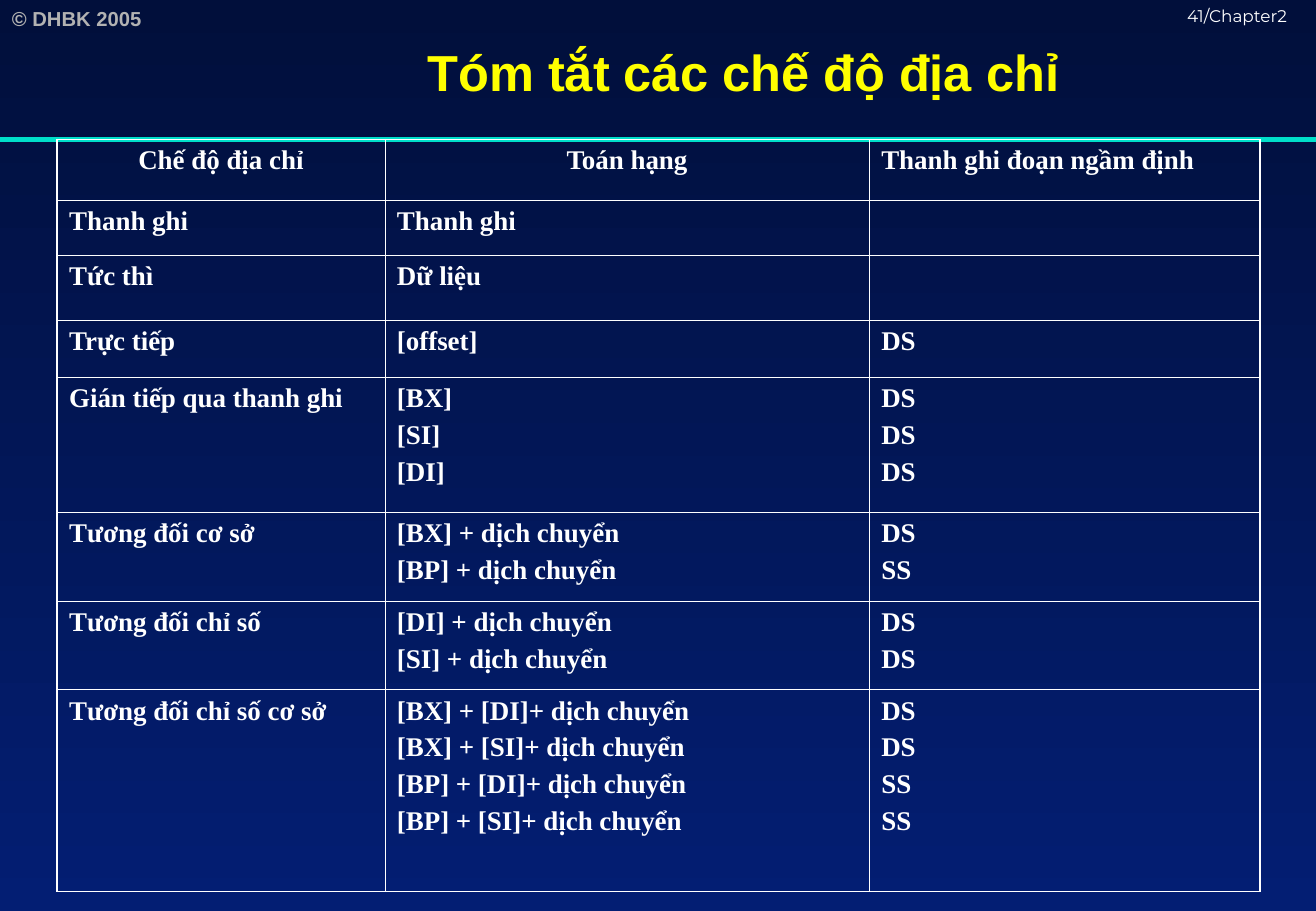
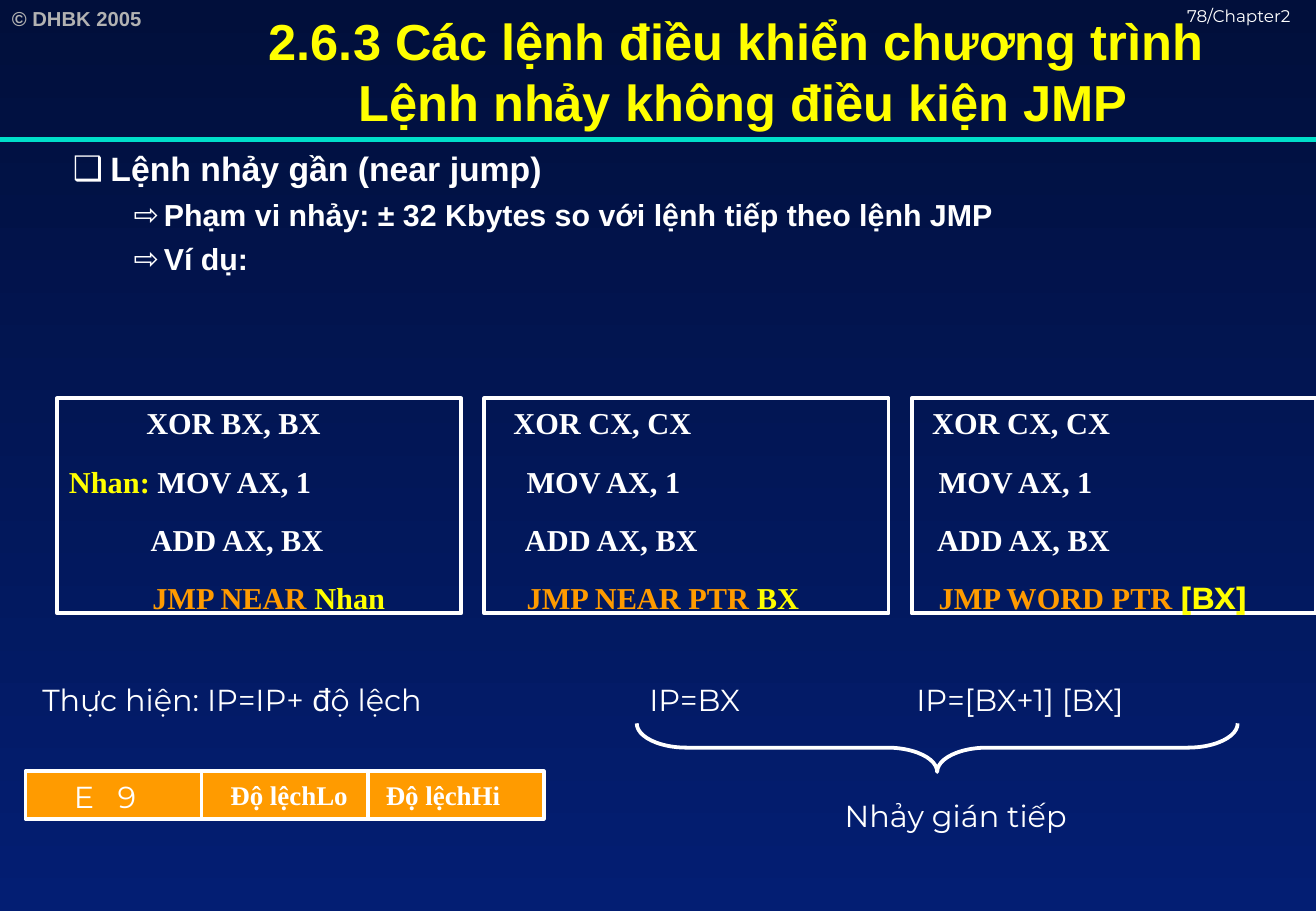
"""Build two lecture slides on addressing modes and the near jump instruction."""
from lxml.etree import SubElement
from pptx import Presentation
from pptx.dml.color import RGBColor
from pptx.enum.shapes import MSO_CONNECTOR, MSO_SHAPE
from pptx.enum.text import MSO_ANCHOR, MSO_AUTO_SIZE, PP_ALIGN
from pptx.oxml.ns import qn
from pptx.util import Inches, Pt

WIDTH, HEIGHT = 10.84, 7.5
BAND = 1.15
WHITE = RGBColor(0xFF, 0xFF, 0xFF)
YELLOW = RGBColor(0xFF, 0xFF, 0x00)
ORANGE = RGBColor(0xFF, 0x9B, 0x00)
GREY = RGBColor(0xB2, 0xB2, 0xB2)
TEAL = RGBColor(0x00, 0xDF, 0xCA)
NIGHT = RGBColor(0x01, 0x0F, 0x3B)
NAVY = RGBColor(0x03, 0x1E, 0x73)
ARIAL, MONTSERRAT, TIMES = "Arial", "Montserrat", "Times New Roman"

MODES = [
    ("Chế độ địa chỉ", "Toán hạng", "Thanh ghi đoạn ngầm định"),
    ("Thanh ghi", "Thanh ghi", ""),
    ("Tức thì", "Dữ liệu", ""),
    ("Trực tiếp", "[offset]", "DS"),
    ("Gián tiếp qua thanh ghi", "[BX]\n[SI]\n[DI]", "DS\nDS\nDS"),
    ("Tương đối cơ sở", "[BX] + dịch chuyển\n[BP] + dịch chuyển", "DS\nSS"),
    ("Tương đối chỉ số", "[DI] + dịch chuyển\n[SI] + dịch chuyển", "DS\nDS"),
    ("Tương đối chỉ số cơ sở",
     "[BX] + [DI]+ dịch chuyển\n[BX] + [SI]+ dịch chuyển\n"
     "[BP] + [DI]+ dịch chuyển\n[BP] + [SI]+ dịch chuyển",
     "DS\nDS\nSS\nSS"),
]
COLUMN_WIDTHS = (2.7, 3.99, 3.22)
ROW_HEIGHTS = (0.5, 0.45, 0.54, 0.47, 1.11, 0.73, 0.73, 1.66)

BULLETS = [
    (1, "Lệnh nhảy gần (near jump)"),
    (2, "Phạm vi nhảy: ± 32 Kbytes so với lệnh tiếp theo lệnh JMP"),
    (2, "Ví dụ:"),
]
BULLET_STYLES = {1: ("❑", 0.81, -0.31, 20, 0), 2: ("⇨", 1.25, -0.25, 18, 4.5)}

LISTINGS = [
    [[("         ", WHITE, MONTSERRAT), ("XOR BX, BX", WHITE)],
     [("Nhan:", YELLOW), (" MOV AX, 1", WHITE)],
     [("           ADD AX, BX", WHITE)],
     [("           JMP NEAR", ORANGE), (" Nhan", YELLOW)]],
    [[("  ", WHITE, MONTSERRAT), ("XOR CX, CX", WHITE)],
     [("    MOV AX, 1", WHITE)],
     [("    ADD AX, BX", WHITE)],
     [("    JMP NEAR PTR ", ORANGE), ("BX", YELLOW)]],
    [[(" ", WHITE, MONTSERRAT), ("XOR CX, CX", WHITE)],
     [("  MOV AX, 1", WHITE)],
     [("  ADD AX, BX", WHITE)],
     [("  JMP WORD PTR ", ORANGE), ("[BX]", YELLOW, MONTSERRAT)]],
]
LISTING_LEFT, LISTING_STEP = 0.47, 3.52

CODE_TOP, CODE_HEIGHT = 6.35, 0.39
CODE_BLOCKS = [(0.21, 2.82), (3.03, 1.45)]
CODE_DIVIDER = 1.66
CODE_LABELS = [
    (0.51, 0.95, "E\t9", 18, MONTSERRAT, False),
    (1.8, 1.2, "Độ lệchLo", 16, TIMES, True),
    (3.08, 1.2, "Độ lệchHi", 16, TIMES, True),
]


def style(span, size, font, color, bold=False):
    span.font.size = Pt(size)
    span.font.name = font
    span.font.color.rgb = color
    span.font.bold = bold


def style_frame(frame, *look):
    for para in frame.paragraphs:
        for span in para.runs:
            style(span, *look)


def set_tabs(para, *stops):
    tabs = SubElement(para._p.get_or_add_pPr(), qn("a:tabLst"))
    for stop in stops:
        SubElement(tabs, qn("a:tab"), pos=str(Inches(stop)), algn="l")


def add_label(page, area, text, *look):
    box = page.shapes.add_textbox(*map(Inches, area))
    box.text_frame.word_wrap = True
    box.text_frame.text = text
    style_frame(box.text_frame, *look)
    return box


def add_line(page, start, end, color, width):
    line = page.shapes.add_connector(MSO_CONNECTOR.STRAIGHT, *map(Inches, start + end))
    line.line.color.rgb = color
    line.line.width = Pt(width)
    SubElement(line.element.spPr, qn("a:effectLst"))
    return line


def add_outlined(page, kind, area, fill=None):
    shape = page.shapes.add_shape(kind, *map(Inches, area))
    shape.shadow.inherit = False
    if fill is None:
        shape.fill.background()
    else:
        shape.fill.solid()
        shape.fill.fore_color.rgb = fill
    shape.line.color.rgb = WHITE
    shape.line.width = Pt(2.25)
    return shape


def place(shape, *area):
    shape.left, shape.top, shape.width, shape.height = map(Inches, area)


def set_up_master(deck, page):
    master = deck.slide_master
    fill = master.background.fill
    fill.gradient()
    fill.gradient_angle = 270
    for stop, color in zip(fill.gradient_stops, (NIGHT, NAVY)):
        stop.color.rgb = color
    place(master.placeholders[0], 1.41, 0, 9.43, 1.17)
    place(master.placeholders[1], 0, 1.17, WIDTH, HEIGHT - 1.17)
    shared = [
        add_label(page, (0, 0, 1.57, 0.3), "© DHBK 2005", 12, ARIAL, GREY, True),
        add_line(page, (0, BAND), (WIDTH, BAND), TEAL, 3),
    ]
    for number, shape in enumerate(shared, 20):
        shape.element.xpath("./*/p:cNvPr")[0].set("id", str(number))
        master.shapes.element.append(shape.element)


def add_page(deck, layout, number, title):
    page = deck.slides.add_slide(deck.slide_layouts[layout])
    frame = page.shapes.title.text_frame
    frame.text = title
    frame.auto_size = MSO_AUTO_SIZE.NONE
    frame.vertical_anchor = MSO_ANCHOR.MIDDLE
    frame.paragraphs[0].alignment = PP_ALIGN.CENTER
    style_frame(frame, 30, ARIAL, YELLOW, True)
    add_label(page, (9.68, 0, 1.16, 0.25), f"{number}/Chapter2", 10, MONTSERRAT, WHITE)
    return page


def set_borders(cell, outer_sides):
    properties = cell._tc.get_or_add_tcPr()
    for index, (side, outer) in enumerate(zip("LRTB", outer_sides)):
        border = SubElement(properties, qn(f"a:ln{side}"), w=str(Pt(1.08 if outer else 0.45)))
        SubElement(SubElement(border, qn("a:solidFill")), qn("a:srgbClr"), val=str(WHITE))
        properties.insert(index, border)


def add_modes_table(page):
    rows, columns = len(MODES), len(COLUMN_WIDTHS)
    area = (0.47, BAND, sum(COLUMN_WIDTHS), sum(ROW_HEIGHTS))
    table = page.shapes.add_table(rows, columns, *map(Inches, area)).table
    table.first_row = table.horz_banding = False
    for column, width in zip(table.columns, COLUMN_WIDTHS):
        column.width = Inches(width)
    for row, height in zip(table.rows, ROW_HEIGHTS):
        row.height = Inches(height)
    for r, texts in enumerate(MODES):
        for c, text in enumerate(texts):
            cell = table.cell(r, c)
            cell.text_frame.text = text
            cell.fill.background()
            set_borders(cell, (c == 0, c == columns - 1, r == 0, r == rows - 1))
            style_frame(cell.text_frame, 16, TIMES, WHITE, True)
            for para in cell.text_frame.paragraphs[1:]:
                para.space_before = Pt(4)
            if r == 0 and c < 2:
                cell.text_frame.paragraphs[0].alignment = PP_ALIGN.CENTER


def fill_body(frame):
    frame.auto_size = MSO_AUTO_SIZE.NONE
    frame.text = "\n".join(text for _, text in BULLETS)
    for para, (level, _) in zip(frame.paragraphs, BULLETS):
        mark, margin, indent, size, before = BULLET_STYLES[level]
        para.level = level
        properties = para._p.get_or_add_pPr()
        properties.set("marL", str(Inches(margin)))
        properties.set("indent", str(Inches(indent)))
        color = SubElement(properties, qn("a:buClr"))
        SubElement(color, qn("a:srgbClr"), val=str(WHITE))
        SubElement(properties, qn("a:buChar"), char=mark)
        para.space_before = Pt(before)
        style(para.runs[0], size, ARIAL, WHITE, True)


def add_listing(page, left, lines):
    box = add_outlined(page, MSO_SHAPE.RECTANGLE, (left, 3.28, 3.33, 1.77))
    frame = box.text_frame
    frame.vertical_anchor = MSO_ANCHOR.TOP
    for index, line in enumerate(lines):
        para = frame.add_paragraph() if index else frame.paragraphs[0]
        para.alignment = PP_ALIGN.LEFT
        para.space_before = Pt(13 if index else 0)
        for text, color, *font in line:
            span = para.add_run()
            span.text = text
            style(span, 18, font[0] if font else TIMES, color, True)


def add_machine_code(page):
    for left, width in CODE_BLOCKS:
        add_outlined(page, MSO_SHAPE.RECTANGLE, (left, CODE_TOP, width, CODE_HEIGHT), ORANGE)
    add_line(page, (CODE_DIVIDER, CODE_TOP), (CODE_DIVIDER, CODE_TOP + CODE_HEIGHT), WHITE, 2.25)
    for left, width, text, size, font, bold in CODE_LABELS:
        box = add_label(page, (left, CODE_TOP + 0.01, width, CODE_HEIGHT),
                        text, size, font, WHITE, bold)
        if "\t" in text:
            set_tabs(box.text_frame.paragraphs[0], 0.36)


def add_effects(page):
    box = add_label(page, (0.25, 5.56, 9.76, 0.4), "Thực hiện: IP=IP+ ", 18, MONTSERRAT, WHITE)
    para = box.text_frame.paragraphs[0]
    set_tabs(para, 5, 7.2)
    for text, font in (("đ", "Noto Sans"), ("ộ lệch\tIP=BX\tIP=[BX+1] [BX]", MONTSERRAT)):
        span = para.add_run()
        span.text = text
        style(span, 18, font, WHITE)
    brace = add_outlined(page, MSO_SHAPE.LEFT_BRACE, (7.52, 3.68, 0.4, 4.95))
    brace.rotation = 270
    brace.adjustments[0] = 1.03
    add_label(page, (6.86, 6.51, 2.3, 0.4), "Nhảy gián tiếp", 18, MONTSERRAT, WHITE)


def main():
    deck = Presentation()
    deck.slide_width, deck.slide_height = Inches(WIDTH), Inches(HEIGHT)

    modes_page = add_page(deck, 5, 41, "Tóm tắt các chế độ địa chỉ")
    set_up_master(deck, modes_page)
    add_modes_table(modes_page)

    jump_page = add_page(deck, 1, 78, "2.6.3 Các lệnh điều khiển chương trình \vLệnh nhảy không điều kiện JMP")
    fill_body(jump_page.placeholders[1].text_frame)
    for index, lines in enumerate(LISTINGS):
        add_listing(jump_page, LISTING_LEFT + index * LISTING_STEP, lines)
    add_machine_code(jump_page)
    add_effects(jump_page)

    deck.save("out.pptx")


if __name__ == "__main__":
    main()
